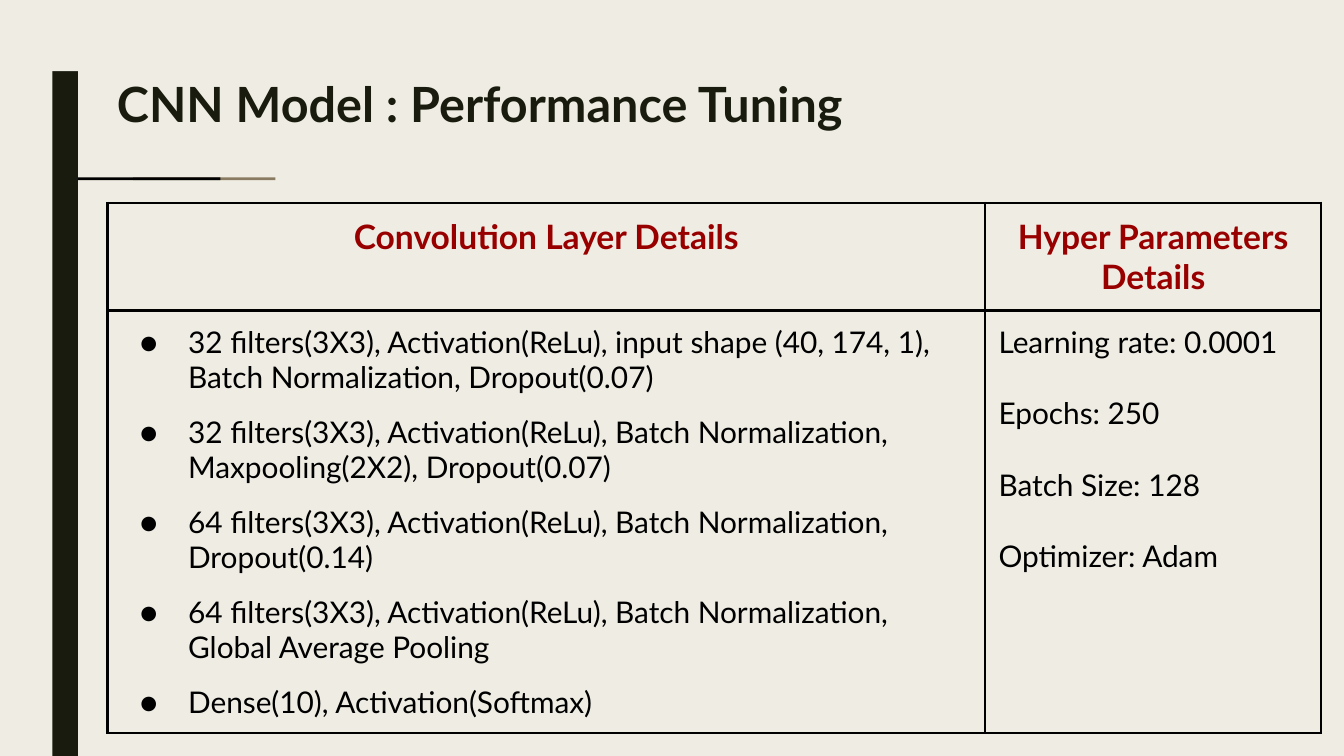
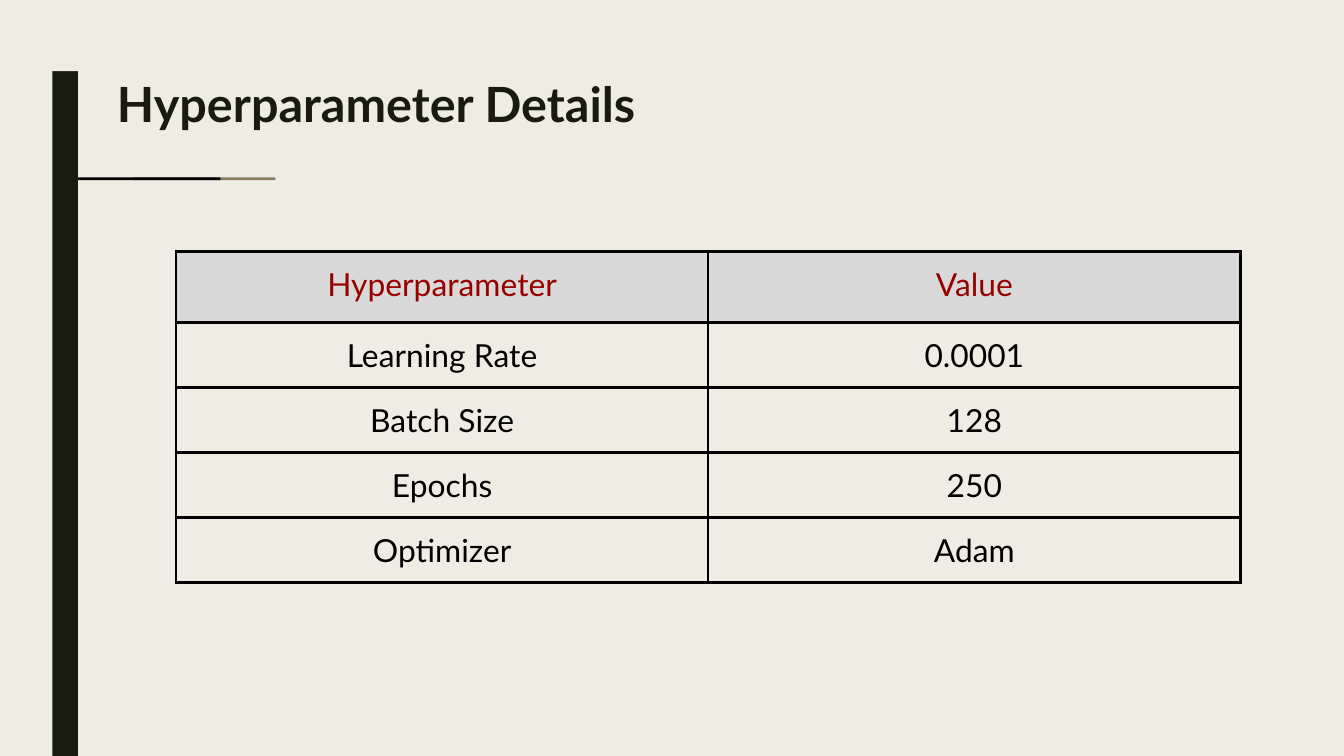
from lxml import etree
from pptx import Presentation
from pptx.dml.color import RGBColor
from pptx.enum.shapes import MSO_SHAPE
from pptx.enum.text import MSO_ANCHOR, PP_ALIGN
from pptx.oxml.ns import qn
from pptx.util import Inches, Pt

RECTANGLE = MSO_SHAPE.RECTANGLE
TOP = MSO_ANCHOR.TOP
LEFT, CENTER = PP_ALIGN.LEFT, PP_ALIGN.CENTER

FONT = "Lato"
CREAM, DARK, TAUPE = "EFEDE3", "191B0E", "897B61"
BLACK, RED, GREY = "000000", "980000", "D9D9D9"

WIDTH = Inches(10)
HEIGHT = WIDTH * 9 // 16

BANDS = [
    (Inches(0.39), 0, Inches(0.19), HEIGHT, DARK),
    (0, 0, WIDTH, Inches(0.53), CREAM),
    (Inches(0.99), Inches(1.32), Inches(1.06), Inches(0.02), TAUPE),
    (Inches(0.58), Inches(1.32), Inches(1.06), Inches(0.02), BLACK),
]

LAYERS = [
    "32 filters(3X3), Activation(ReLu), input shape (40, 174, 1), Batch Normalization, Dropout(0.07)",
    "32 filters(3X3), Activation(ReLu), Batch Normalization, Maxpooling(2X2), Dropout(0.07)",
    "64 filters(3X3), Activation(ReLu), Batch Normalization, Dropout(0.14)",
    "64 filters(3X3), Activation(ReLu), Batch Normalization, Global Average Pooling",
    "Dense(10), Activation(Softmax)",
]
SETTINGS = ["Learning rate: 0.0001", "Epochs: 250", "Batch Size: 128", "Optimizer: Adam"]

SLIDES = [
    {
        "title": "CNN Model : Performance Tuning",
        "position": (0.8, 1.51),
        "columns": [6.53, 2.5],
        "rows": [0.73, 3.08],
        "cells": [
            ["Convolution Layer Details", "Hyper Parameters Details"],
            ["\n".join(LAYERS), "\n".join(SETTINGS)],
        ],
        "header": (18, True, CREAM),
        "body": (16, LEFT),
        "gaps": [10, 19.2],
        "bullet_column": 0,
    },
    {
        "title": "Hyperparameter Details",
        "position": (1.31, 1.87),
        "columns": [3.96, 3.96],
        "rows": [0.53] + [0.42] * 4,
        "cells": [
            ["Hyperparameter", "Value"],
            ["Learning Rate", "0.0001"],
            ["Batch Size", "128"],
            ["Epochs", "250"],
            ["Optimizer", "Adam"],
        ],
        "header": (17, False, GREY),
        "body": (17, CENTER),
        "gaps": [0, 0],
        "bullet_column": None,
    },
]


def color(hex_string):
    return RGBColor.from_string(hex_string)


def format_runs(paragraph, size, hex_string, bold):
    for run in paragraph.runs:
        run.font.name = FONT
        run.font.size = Pt(size)
        run.font.bold = bold
        run.font.color.rgb = color(hex_string)


presentation = Presentation()
presentation.slide_width = WIDTH
presentation.slide_height = HEIGHT
title_layout = presentation.slide_layouts[5]
master = presentation.slide_master

background = master.background.fill
background.solid()
background.fore_color.rgb = color(CREAM)

slides = [presentation.slides.add_slide(title_layout) for content in SLIDES]

for index, (left, top, width, height, fill) in enumerate(BANDS):
    band = slides[0].shapes.add_shape(RECTANGLE, left, top, width, height)
    band.shadow.inherit = False
    band.fill.solid()
    band.fill.fore_color.rgb = color(fill)
    band.line.fill.background()
    band._element.nvSpPr.cNvPr.set("id", str(20 + index))
    master.shapes._spTree.insert(2 + index, band._element)

for slide, content in zip(slides, SLIDES):
    title = slide.shapes.title
    title.left, title.top = Inches(0.8), Inches(0.56)
    title.width, title.height = Inches(7.78), Inches(0.59)
    frame = title.text_frame
    frame.text = content["title"]
    frame.word_wrap = True
    frame.vertical_anchor = TOP
    frame.margin_left = frame.margin_right = Inches(0.07)
    frame.margin_top = frame.margin_bottom = Inches(0.04)
    paragraph = frame.paragraphs[0]
    paragraph.alignment = LEFT
    paragraph.line_spacing = 0.89
    format_runs(paragraph, 26, DARK, True)

    left, top = content["position"]
    columns, rows = content["columns"], content["rows"]
    table = slide.shapes.add_table(
        len(rows), len(columns), Inches(left), Inches(top),
        Inches(sum(columns)), Inches(sum(rows))).table
    table.first_row = False
    table.horz_banding = False
    for column, width in zip(table.columns, columns):
        column.width = Inches(width)
    for row, height in zip(table.rows, rows):
        row.height = Inches(height)

    header_size, header_bold, header_fill = content["header"]
    body_size, body_alignment = content["body"]
    for row_index, texts in enumerate(content["cells"]):
        for column_index, text in enumerate(texts):
            cell = table.cell(row_index, column_index)
            cell.text_frame.text = text
            cell.vertical_anchor = TOP
            cell.margin_left = cell.margin_right = Inches(0.1)
            cell.margin_top = cell.margin_bottom = Inches(0.1)
            is_header = row_index == 0
            if is_header:
                cell.fill.solid()
                cell.fill.fore_color.rgb = color(header_fill)
            else:
                cell.fill.background()

            cell_properties = cell._tc.get_or_add_tcPr()
            for position, side in enumerate(["a:lnL", "a:lnR", "a:lnT", "a:lnB"]):
                border = etree.Element(qn(side), w=str(Pt(1.5)))
                solid = etree.SubElement(border, qn("a:solidFill"))
                etree.SubElement(solid, qn("a:srgbClr"), val=BLACK)
                cell_properties.insert(position, border)

            for index, paragraph in enumerate(cell.text_frame.paragraphs):
                if is_header:
                    paragraph.alignment = CENTER
                    format_runs(paragraph, header_size, RED, header_bold)
                    continue
                paragraph.alignment = body_alignment
                format_runs(paragraph, body_size, BLACK, False)
                if index > 0:
                    paragraph.space_before = Pt(content["gaps"][column_index])
                if column_index == content["bullet_column"]:
                    properties = paragraph._p.get_or_add_pPr()
                    properties.set("marL", str(Inches(0.5)))
                    properties.set("indent", str(Inches(-0.36)))
                    bullet_color = etree.SubElement(properties, qn("a:buClr"))
                    etree.SubElement(bullet_color, qn("a:srgbClr"), val=BLACK)
                    etree.SubElement(properties, qn("a:buFont"), typeface=FONT)
                    etree.SubElement(properties, qn("a:buChar"), char="●")

presentation.save("out.pptx")
